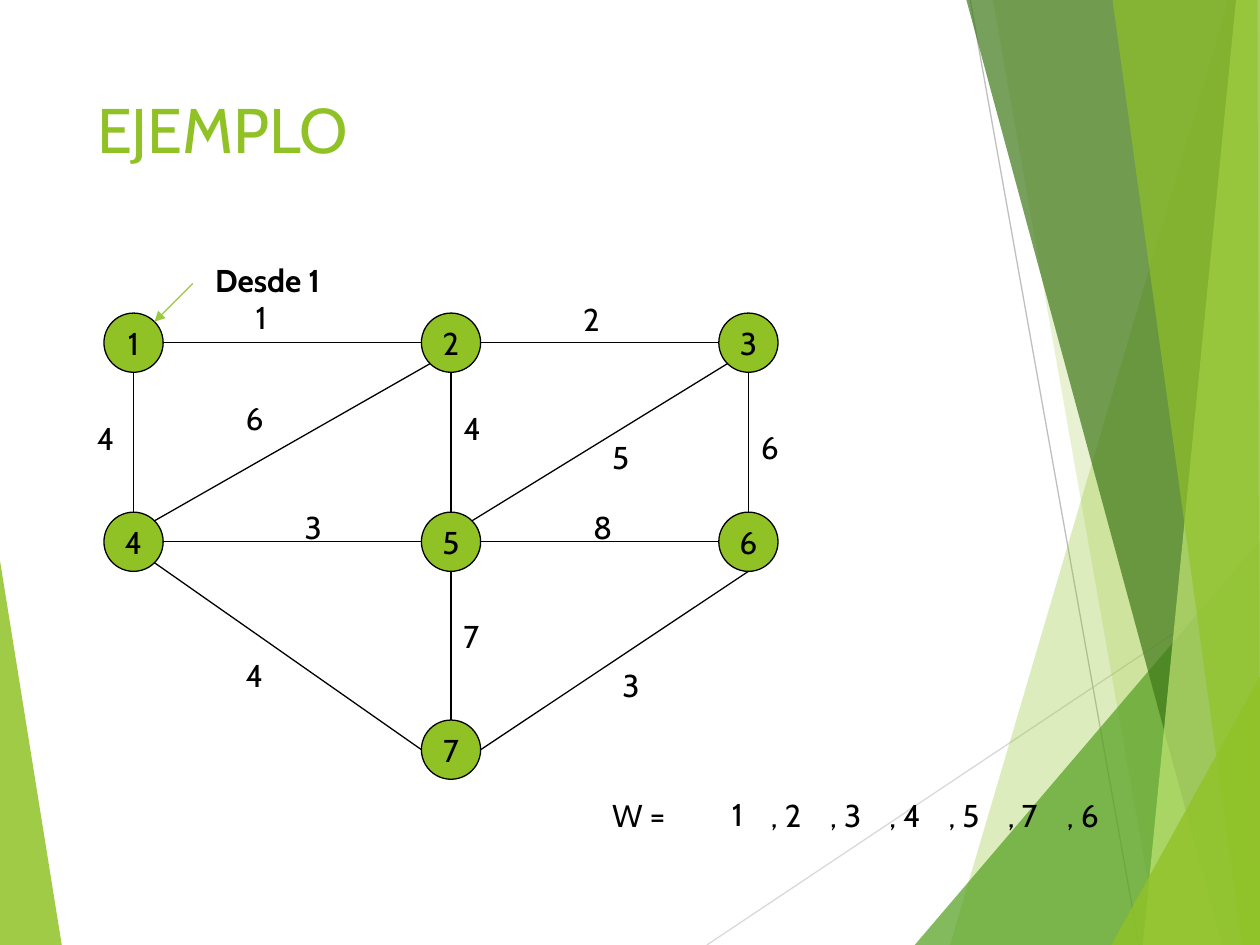
import math

import pptx
import pptx.dml.color
import pptx.enum.shapes
import pptx.enum.text
import pptx.oxml.ns
import pptx.util
from lxml import etree
from pptx.util import Inches

COLORS = {"green": "90C226", "leaf": "54A021", "forest": "3F7819", "lime": "C0E474",
          "arrow": "99CA3C", "black": "000000", "gray": "BFBFBF", "light_gray": "D9D9D9"}
qn = pptx.oxml.ns.qn
ALIGN = pptx.enum.text.PP_ALIGN
ANCHOR = pptx.enum.text.MSO_ANCHOR


class GraphSlide:
    font_name = "Cabin"
    text_size = 18
    line_width = pptx.util.Pt(0.75)

    def __init__(self, presentation):
        self.slide = presentation.slides.add_slide(presentation.slide_layouts[5])
        self.shapes = self.slide.shapes

    def color(self, name):
        return pptx.dml.color.RGBColor.from_string(COLORS[name])

    def set_text(self, frame, text, size=text_size, color="black", bold=False, align=ALIGN.LEFT):
        frame.text = text
        paragraph = frame.paragraphs[0]
        paragraph.alignment = align
        font = paragraph.font
        font.name, font.size, font.bold = self.font_name, pptx.util.Pt(size), bold
        font.color.rgb = self.color(color)

    def title(self, text, left, top, width, height):
        title = self.shapes.title
        title.left, title.top = Inches(left), Inches(top)
        title.width, title.height = Inches(width), Inches(height)
        title.text_frame.vertical_anchor = ANCHOR.TOP
        self.set_text(title.text_frame, text, size=36, color="green")
        # Bring the title in front of the background facets
        title.element.getparent().append(title.element)

    def facet(self, points, color, opacity):
        corners = [(Inches(x), Inches(y)) for x, y in points]
        builder = self.shapes.build_freeform(*corners[0])
        builder.add_line_segments(corners[1:], close=True)
        facet = builder.convert_to_shape()
        facet.shadow.inherit = False
        facet.fill.solid()
        facet.fill.fore_color.rgb = self.color(color)
        facet.line.fill.background()
        rgb = facet.element.spPr.find(qn("a:solidFill")).find(qn("a:srgbClr"))
        etree.SubElement(rgb, qn("a:alpha")).set("val", str(opacity * 1000))

    def line(self, start, end, color="black", arrow=False):
        line = self.shapes.add_connector(
            pptx.enum.shapes.MSO_CONNECTOR.STRAIGHT, *map(Inches, (*start, *end)))
        line.line.color.rgb = self.color(color)
        line.line.width = self.line_width
        properties = line.element.spPr
        if arrow:
            etree.SubElement(properties.find(qn("a:ln")), qn("a:tailEnd")).set("type", "triangle")
        etree.SubElement(properties, qn("a:effectLst"))

    def node(self, text, center, diameter):
        left, top = (value - diameter / 2 for value in center)
        node = self.shapes.add_shape(
            pptx.enum.shapes.MSO_SHAPE.OVAL, *map(Inches, (left, top, diameter, diameter)))
        node.shadow.inherit = False
        node.fill.solid()
        node.fill.fore_color.rgb = self.color("green")
        node.line.color.rgb = self.color("black")
        node.line.width = self.line_width
        node.text_frame.word_wrap = False
        node.text_frame.vertical_anchor = ANCHOR.MIDDLE
        self.set_text(node.text_frame, text, align=ALIGN.CENTER)

    def label(self, text, left, top, width=0.55, bold=False):
        box = self.shapes.add_textbox(*map(Inches, (left, top, width, 0.4)))
        box.text_frame.word_wrap = True
        self.set_text(box.text_frame, text, bold=bold)


# Background facets: corners, colour, opacity in percent
LEFT_FACET = ([(0, 4.45), (0.49, 7.5), (0, 7.5)], "green", 85)
RIGHT_FACETS = [
    ([(9.75, 0), (7.54, 7.5), (10, 7.5), (10, 0)], "green", 30),
    ([(7.88, 0), (9.2, 7.5), (10, 7.5), (10, 0)], "green", 20),
    ([(7.26, 7.5), (10, 4.29), (10, 7.5)], "leaf", 72),
    ([(7.67, 0), (9.7, 7.5), (10, 7.5), (10, 0)], "forest", 70),
    ([(9.81, 0), (9.07, 7.5), (10, 7.5), (10, 0)], "lime", 70),
    ([(8.83, 0), (9.86, 7.5), (10, 7.5), (9.98, 0)], "green", 65),
    ([(8.82, 7.5), (10, 5.37), (10, 7.5)], "green", 80),
]

# Graph nodes on a grid of columns and rows
DIAMETER = 0.47
COLUMNS = (1.06, 3.58, 5.94)
ROWS = (2.72, 4.3, 5.95)
NODES = {1: (0, 0), 2: (1, 0), 3: (2, 0), 4: (0, 1), 5: (1, 1), 6: (2, 1), 7: (1, 2)}
CENTERS = {name: (COLUMNS[col], ROWS[row]) for name, (col, row) in NODES.items()}

# Points on the rim of a node, as angles in degrees (clockwise from the right)
RIM = {"E": 0, "SE": 45, "S": 90, "SW": 135, "W": 180, "N": 270, "NE": 315}

# Edges: from, side, to, side, weight, left and top of the weight
EDGES = [
    (1, "E", 2, "W", 1, 1.93, 2.32),
    (2, "E", 3, "W", 2, 4.53, 2.33),
    (4, "E", 5, "W", 3, 2.32, 3.98),
    (5, "E", 6, "W", 8, 4.61, 3.98),
    (1, "S", 4, "N", 4, 0.67, 3.28),
    (2, "S", 5, "N", 4, 3.58, 3.2),
    (3, "S", 6, "N", 6, 5.94, 3.35),
    (2, "SW", 4, "NE", 6, 1.85, 3.12),
    (3, "SW", 5, "NE", 5, 4.76, 3.43),
    (6, "S", 7, "E", 3, 4.84, 5.24),
    (4, "SE", 7, "W", 4, 1.85, 5.16),
    (5, "S", 7, "N", 7, 3.58, 4.85),
]
VISITED = (2, 3, 4, 5, 7, 6)


def rim_point(name, side):
    x, y = CENTERS[name]
    angle = math.radians(RIM[side])
    return x + DIAMETER / 2 * math.cos(angle), y + DIAMETER / 2 * math.sin(angle)


def main():
    presentation = pptx.Presentation()
    presentation.slide_width, presentation.slide_height = Inches(10), Inches(7.5)
    slide = GraphSlide(presentation)

    # Background
    slide.facet(*LEFT_FACET)
    slide.line((5.61, 7.5), (10, 4.57), "light_gray")
    slide.line((7.7, 0), (9.04, 7.5), "gray")
    for facet in RIGHT_FACETS:
        slide.facet(*facet)

    slide.title("EJEMPLO", 0.67, 0.67, 6.94, 1.44)

    # Graph
    for name, center in CENTERS.items():
        slide.node(str(name), center, DIAMETER)
    for start, start_side, end, end_side, weight, left, top in EDGES:
        slide.line(rim_point(start, start_side), rim_point(end, end_side))
        slide.label(str(weight), left, top)

    # Starting node
    slide.label("Desde 1", 1.61, 2.02, width=1.57, bold=True)
    slide.line((1.53, 2.25), rim_point(1, "NE"), "arrow", arrow=True)

    # Order of visits
    slide.label("W =", 4.76, 6.27, width=0.87)
    slide.label("1", 5.71, 6.26, width=0.47)
    for step, name in enumerate(VISITED):
        slide.label(f", {name}", 6.02 + 0.47 * step, 6.27, width=0.63)

    presentation.save("out.pptx")


if __name__ == "__main__":
    main()
